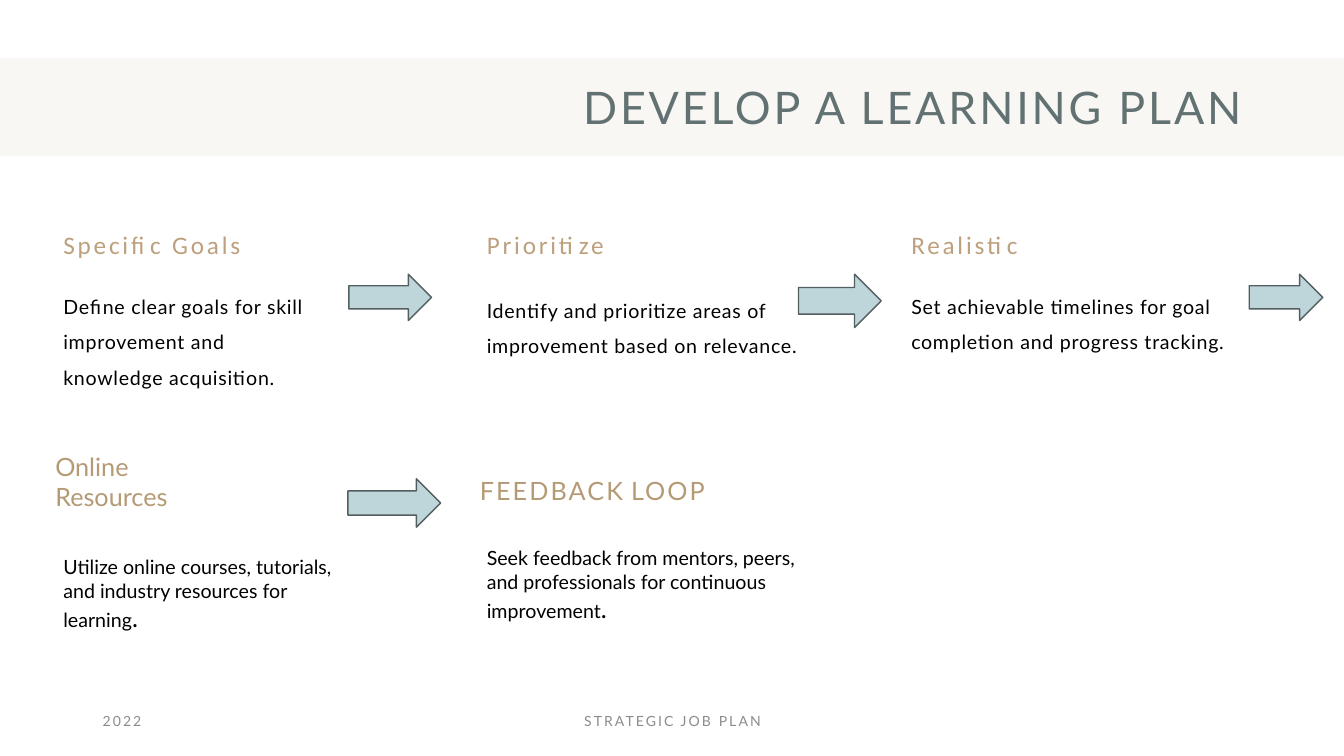
"""Build the learning plan slide."""
from lxml.etree import SubElement
from pptx import Presentation
from pptx.dml.color import RGBColor
from pptx.enum.shapes import MSO_SHAPE
from pptx.enum.text import MSO_ANCHOR, PP_ALIGN
from pptx.oxml.ns import qn
from pptx.util import Inches, Pt

SAND = RGBColor(0xD8, 0xCA, 0xB7)
SLATE = RGBColor(0x62, 0x72, 0x72)
TAN = RGBColor(0xBD, 0xA0, 0x7D)
GOLD = RGBColor(0xB5, 0x9A, 0x76)
BLACK = RGBColor(0, 0, 0)
GREY = RGBColor(0x8C, 0x8C, 0x8C)
AQUA = RGBColor(0xBE, 0xD6, 0xDA)
EDGE = RGBColor(0x53, 0x5E, 0x60)


def add_text(par, text, size=14, font="Lato", color=BLACK, gap=0):
    run = par.add_run()
    run.text = text
    run.font.size = Pt(size)
    run.font.name = font
    run.font.color.rgb = color
    if gap:
        run.font._element.set("spc", str(int(gap * 100)))


class Board:
    def __init__(self, slide):
        self.slide = slide

    def shape(self, kind, at, fill):
        item = self.slide.shapes.add_shape(kind, *map(Inches, at))
        item.shadow.inherit = False
        item.fill.solid()
        item.fill.fore_color.rgb = fill
        return item

    def band(self, at, alpha):
        item = self.shape(MSO_SHAPE.RECTANGLE, at, SAND)
        item.line.fill.background()
        color = item._element.spPr.find(".//" + qn("a:srgbClr"))
        SubElement(color, qn("a:alpha")).set("val", str(alpha * 1000))

    def arrow(self, at):
        item = self.shape(MSO_SHAPE.RIGHT_ARROW, at, AQUA)
        item.line.color.rgb = EDGE
        item.line.width = Pt(1)

    def text(self, at, *parts, align=PP_ALIGN.LEFT, anchor=MSO_ANCHOR.TOP,
             lead=1.0, before=0, after=0, **style):
        frame = self.slide.shapes.add_textbox(*map(Inches, at)).text_frame
        frame.word_wrap = True
        frame.vertical_anchor = anchor
        par = frame.paragraphs[0]
        par.alignment = align
        par.line_spacing = lead
        par.space_before = Pt(before)
        par.space_after = Pt(after)
        for words, size in parts:
            add_text(par, words, size=size, **style)

    def step(self, left, head, body, top, size):
        self.text((left, 2.26, 3.84, 0.46), (head, 18), lead=0.9, before=10,
                  font="Calibri", color=TAN, gap=2)
        self.text((left, top, *size), (body, 14), lead=1.5, after=12, gap=0.5)


def main():
    deck = Presentation()
    deck.slide_width = Inches(13.33)
    deck.slide_height = Inches(7.5)
    board = Board(deck.slides.add_slide(deck.slide_layouts[6]))

    board.band((0, 0.58, 13.33, 0.97), 15)
    board.text((0.92, 0.7, 11.5, 0.79), ("DEVELOP A LEARNING PLAN", 32),
               align=PP_ALIGN.RIGHT, anchor=MSO_ANCHOR.MIDDLE, lead=0.9,
               color=SLATE, gap=2)

    steps = [
        (0.53, "Specific Goals",
         "Define clear goals for skill improvement and knowledge acquisition.",
         2.76, (2.84, 0.99)),
        (4.73, "Prioritize",
         "Identify and prioritize areas of improvement based on relevance.",
         2.8, (3.84, 1.35)),
        (8.94, "Realistic",
         "Set achievable timelines for goal completion and progress tracking.",
         2.76, (3.84, 1.25)),
    ]
    for step in steps:
        board.step(*step)

    board.text((0.45, 4.43, 1.95, 0.71), ("Online Resources", 18), color=GOLD)
    board.text((4.09, 4.67, 3, 0.4), ("FEEDBACK", 18), (" ", 10), ("LOOP", 18),
               align=PP_ALIGN.RIGHT, color=GOLD, gap=1.5)
    notes = [
        ((0.53, 5.46, 2.92, 0.88), "Utilize online courses, tutorials, "
         "and industry resources for learning"),
        ((4.73, 5.37, 3.47, 0.88), "Seek feedback from mentors, peers, "
         "and professionals for continuous improvement"),
    ]
    for at, words in notes:
        board.text(at, (words, 14), (".", 18))

    feet = [
        ((0.92, 6.95, 3, 0.4), "2022", PP_ALIGN.LEFT),
        ((4.42, 6.95, 4.5, 0.4), "STRATEGIC JOB PLAN", PP_ALIGN.CENTER),
    ]
    for at, words, align in feet:
        board.text(at, (words, 10), align=align, anchor=MSO_ANCHOR.MIDDLE,
                   color=GREY, gap=1.5)

    for at in [(3.46, 2.72, 0.82, 0.46), (7.92, 2.72, 0.82, 0.53),
               (12.39, 2.72, 0.73, 0.46), (3.45, 4.75, 0.92, 0.48)]:
        board.arrow(at)

    deck.save("out.pptx")


if __name__ == "__main__":
    main()
